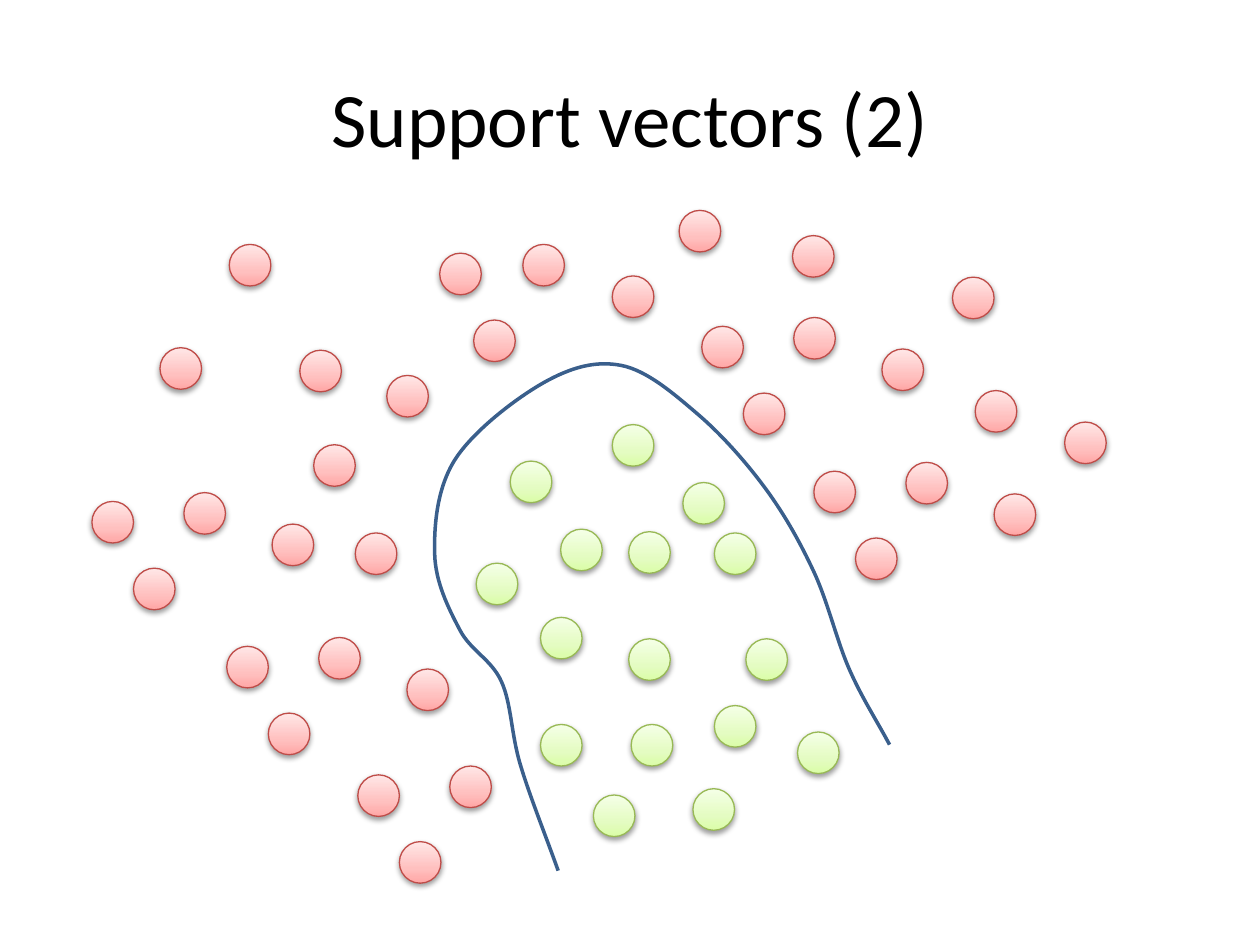
"""Draw two classes of points split by a curved boundary."""
from copy import deepcopy

from pptx import Presentation
from pptx.dml.color import RGBColor
from pptx.enum.shapes import MSO_SHAPE
from pptx.enum.text import MSO_ANCHOR, PP_ALIGN
from pptx.oxml.ns import qn
from pptx.util import Inches, Pt
from lxml import etree

OVAL = MSO_SHAPE.OVAL
MIDDLE = MSO_ANCHOR.MIDDLE
CENTER = PP_ALIGN.CENTER

COLORS = {
    "text": "000000", "curve": "3A5F8C",
    "red low": "FFA6A5", "red mid": "FFC0BF", "red top": "FFE7E7", "red edge": "BF4C48",
    "green low": "DAFDA7", "green mid": "E4FCC2", "green top": "F5FFE7", "green edge": "98B955",
}
STOPS = {"low": 0, "mid": 0.35, "top": 1}
SIZE = 0.33

CLUSTER = [(0, 0), (0.73, -0.07), (0.33, 0.53), (1.43, 0.18)]
BASES = [(1.8, 5.13), (0.73, 3.98), (5.57, 2.59), (6.46, 3.74)]
REDS = [
    (3.49, 2.01), (4.15, 1.94), (3.07, 2.98), (3.76, 2.54), (4.86, 2.19), (2.82, 4.23),
    (2.38, 2.78), (2.49, 3.53), (2.84, 6.15), (3.57, 6.08), (3.17, 6.68), (7.56, 2.2),
    (7.74, 3.1), (8.45, 3.35), (6.29, 1.87), (5.39, 1.67), (1.82, 1.94), (1.27, 2.76),
]
GREENS = [
    (3.78, 4.47), (5.42, 3.83), (4.86, 3.37), (4.99, 4.22), (5.67, 4.23), (4.29, 4.9),
    (4.05, 3.66), (4.99, 5.07), (4.29, 5.75), (5.92, 5.07), (4.45, 4.2), (4.71, 6.31),
    (6.33, 5.81), (5.01, 5.75), (5.67, 5.6), (5.5, 6.26),
]
BOUNDARY = [
    (4.43, 6.91), (4.13, 6.07), (3.98, 5.41), (3.65, 5), (3.45, 4.4), (3.61, 3.65), (4.31, 3.04),
    (4.93, 2.9), (5.53, 3.28), (6.07, 3.87), (6.46, 4.54), (6.74, 5.31), (7.06, 5.91),
]


class Deck:
    """Hold the style and the current slide."""

    def __init__(self):
        self.show = Presentation()
        self.show.slide_width, self.show.slide_height = Inches(10), Inches(7.5)
        self.slide = self.show.slides.add_slide(self.show.slide_layouts[5])

    def color(self, name):
        return RGBColor.from_string(COLORS[name])

    def title(self, text):
        box = self.slide.shapes.title
        box.left, box.top, box.width, box.height = map(Inches, (0.5, 0.3, 9, 1.25))
        box.text_frame.text = text
        box.text_frame.vertical_anchor = MIDDLE
        para = box.text_frame.paragraphs[0]
        para.alignment = CENTER
        para.font.name, para.font.size = "Calibri", Pt(44)
        para.font.color.rgb = self.color("text")

    def dot(self, left, top, hue):
        dot = self.slide.shapes.add_shape(OVAL, *map(Inches, (left, top, SIZE, SIZE)))
        dot.fill.gradient()
        dot.fill.gradient_angle = 90
        stops = dot._element.spPr.find(".//" + qn("a:gsLst"))
        stops.append(deepcopy(stops[0]))
        for stop, (tone, place) in zip(dot.fill.gradient_stops, STOPS.items()):
            stop.color.rgb = self.color(f"{hue} {tone}")
            stop.position = place
        dot.line.color.rgb = self.color(f"{hue} edge")
        dot.line.width = Pt(0.75)
        self.shade(dot)

    def shade(self, shape):
        shape.shadow.inherit = False
        effects = shape._element.spPr.find(qn("a:effectLst"))
        shadow = etree.SubElement(effects, qn("a:outerShdw"), blurRad=str(Pt(3.1)),
                                  dist=str(Pt(1.6)), dir="5400000", rotWithShape="0")
        ink = etree.SubElement(shadow, qn("a:srgbClr"), val=COLORS["text"])
        etree.SubElement(ink, qn("a:alpha"), val="38000")

    def curve(self, knots):
        points = [(Inches(x), Inches(y)) for x, y in knots]
        build = self.slide.shapes.build_freeform(*points[0])
        build.add_line_segments(points[1:], close=False)
        curve = build.convert_to_shape()
        self.smooth(curve)
        curve.fill.background()
        curve.line.color.rgb = self.color("curve")
        curve.line.width = Pt(2)
        curve.shadow.inherit = False

    def smooth(self, shape):
        """Turn line segments into Bezier curves with tangents along neighbours."""
        spots = list(shape._element.spPr.iter(qn("a:pt")))
        knots = [(int(p.get("x")), int(p.get("y"))) for p in spots]
        first = [2 * a - b for a, b in zip(knots[0], knots[1])]
        last = [2 * a - b for a, b in zip(knots[-1], knots[-2])]
        chain = [first, *knots, last]
        for spot, a, b, c, d in zip(spots[1:], chain, chain[1:], chain[2:], chain[3:]):
            line = spot.getparent()
            bend = etree.Element(qn("a:cubicBezTo"))
            line.getparent().replace(line, bend)
            leave = [q + (r - p) / 6 for p, q, r in zip(a, b, c)]
            reach = [q - (r - p) / 6 for p, q, r in zip(b, c, d)]
            for x, y in (leave, reach, c):
                etree.SubElement(bend, qn("a:pt"), x=str(round(x)), y=str(round(y)))


def main():
    deck = Deck()
    deck.title("Support vectors (2)")
    groups = [(x + dx, y + dy) for x, y in BASES for dx, dy in CLUSTER]
    for hue, spots in (("red", REDS + groups), ("green", GREENS)):
        for left, top in spots:
            deck.dot(left, top, hue)
    deck.curve(BOUNDARY)
    deck.show.save("out.pptx")


if __name__ == "__main__":
    main()
